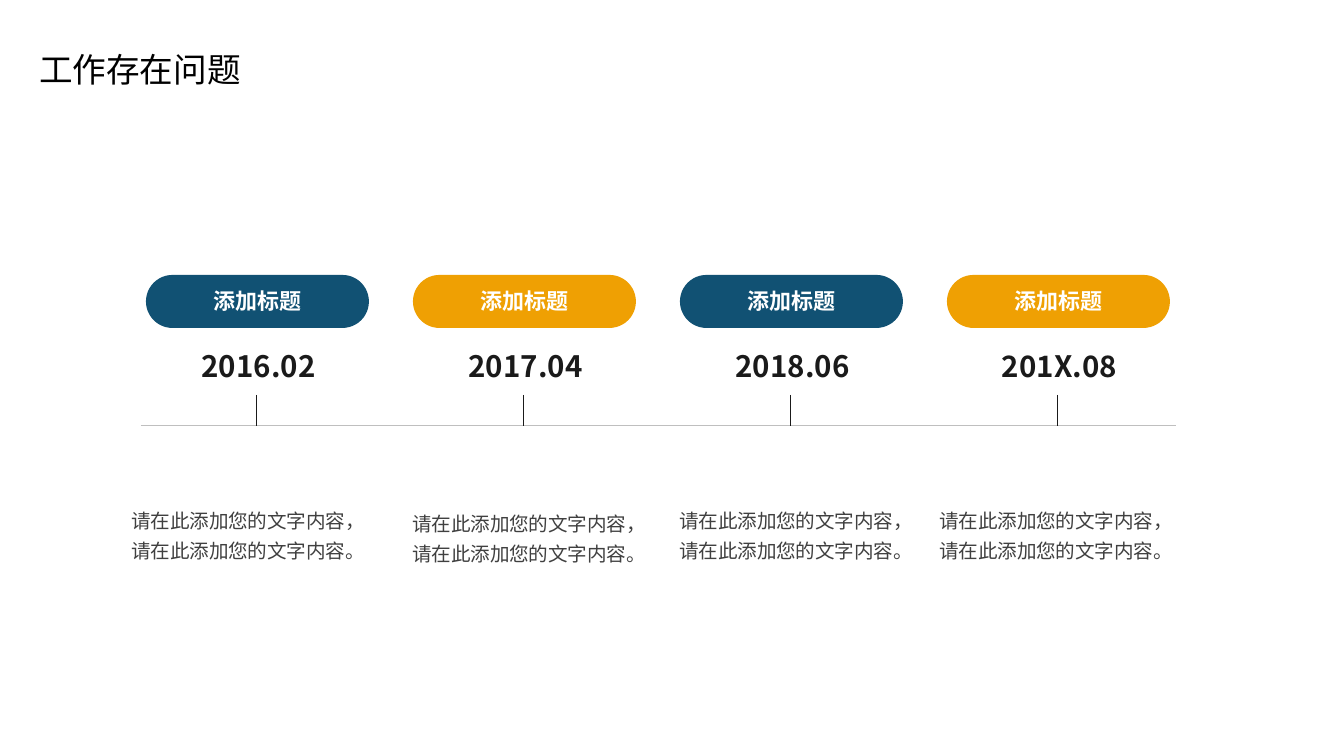
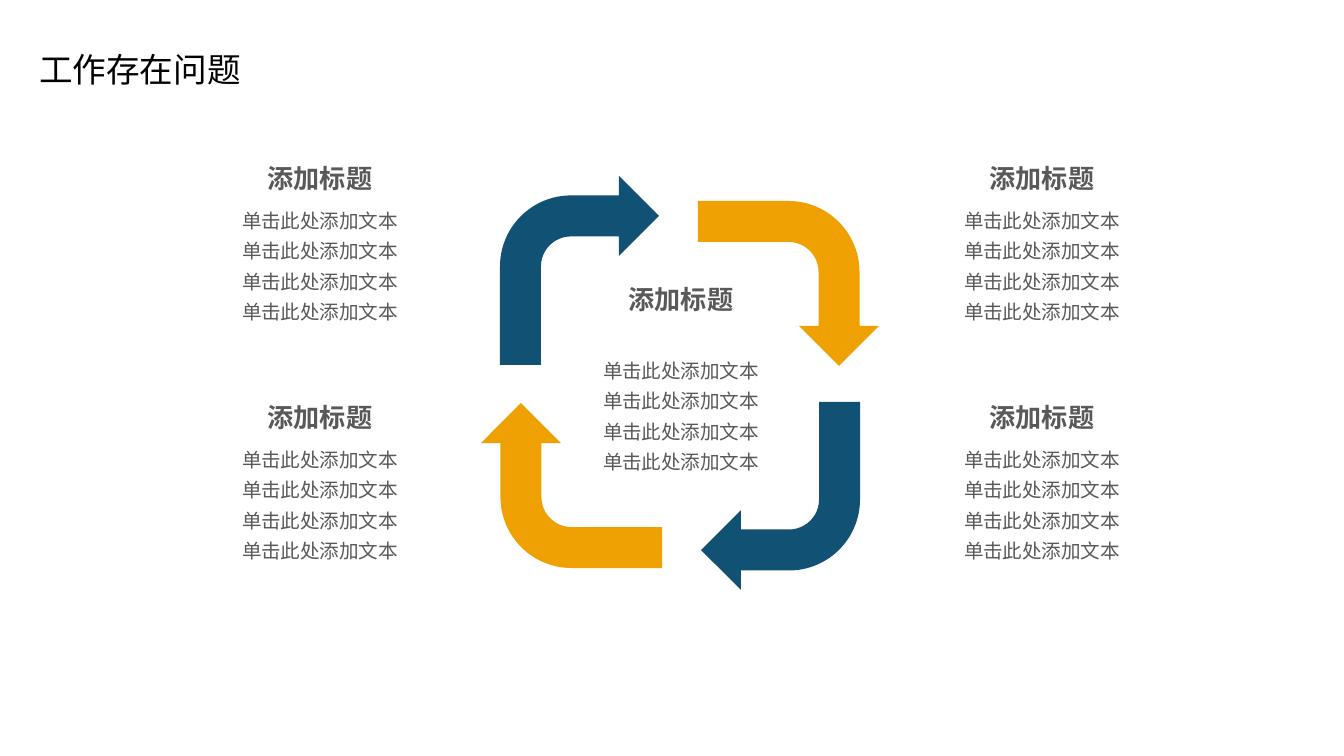
from lxml import etree
from pptx import Presentation, util as u
from pptx.dml.color import RGBColor
from pptx.enum import shapes, text
from pptx.oxml.ns import qn

FONT = "Noto Sans CJK SC"
BLUE = RGBColor(0x11, 0x51, 0x73)
ORANGE = RGBColor(0xEF, 0xA0, 0x03)
WHITE = RGBColor(0xFF, 0xFF, 0xFF)
BLACK = RGBColor(0x00, 0x00, 0x00)
INK = RGBColor(0x1A, 0x1A, 0x1A)
BODY = RGBColor(0x40, 0x40, 0x40)
GREY = RGBColor(0x59, 0x59, 0x59)
RULE = RGBColor(0xBF, 0xBF, 0xBF)
SCALE = 914400 / 134.4
HEADING = "添加标题"


def px(*lengths):
    return [u.Emu(round(length * SCALE)) for length in lengths]


def add_text(slide, box, lines, size, color, bold=False, spacing=None, align=text.PP_ALIGN.CENTER, wrap=True):
    frame = slide.shapes.add_textbox(*px(*box)).text_frame
    frame.word_wrap = wrap
    frame.auto_size = text.MSO_AUTO_SIZE.SHAPE_TO_FIT_TEXT
    frame.text = "\n".join(lines)
    for paragraph in frame.paragraphs:
        paragraph.alignment = align
        paragraph.line_spacing = spacing
        font = paragraph.font
        font.name, font.size, font.bold = FONT, u.Pt(size), bold
        font.color.rgb = color
        properties = paragraph._p.pPr.find(qn("a:defRPr"))
        etree.SubElement(properties, qn("a:ea"), typeface=FONT)


presentation = Presentation()
presentation.slide_width, presentation.slide_height = px(1344, 756)
slides = []
for _ in range(2):
    slide = presentation.slides.add_slide(presentation.slide_layouts[6])
    add_text(slide, (26, 42, 231, 54), ["工作存在问题"], 18, BLACK, align=text.PP_ALIGN.LEFT, wrap=False)
    slides.append(slide)
timeline, cycle = slides

STEP = 267
dates = ["2016.02", "2017.04", "2018.06", "201X.08"]
notes = [(118, 495), (399, 498), (666, 495), (926, 495)]
lines = [((141, 426, 1176, 426), RULE)]
for index, (date, note) in enumerate(zip(dates, notes)):
    left = 146 + index * STEP
    pill = timeline.shapes.add_shape(shapes.MSO_SHAPE.ROUNDED_RECTANGLE, *px(left, 275, 223, 53))
    pill.adjustments[0] = 0.5
    pill.shadow.inherit = False
    pill.fill.solid()
    pill.fill.fore_color.rgb = (BLUE, ORANGE)[index % 2]
    pill.line.fill.background()
    add_text(timeline, (left, 281, 223, 40), [HEADING], 11.8, WHITE, bold=True)
    add_text(timeline, (left + 25, 341, 175, 50), [date], 15.8, INK, bold=True)
    add_text(timeline, (*note, 250, 75), ["请在此添加您的文字内容，请在此添加您的文字内容。"],
             10.5, BODY, spacing=1.3, align=text.PP_ALIGN.LEFT)
    tick = left + 111
    lines.append(((tick, 395, tick, 426), INK))

for ends, color in lines:
    connector = timeline.shapes.add_connector(shapes.MSO_CONNECTOR.STRAIGHT, *px(*ends))
    connector.line.color.rgb = color
    connector.line.width = u.Pt(0.5)
    etree.SubElement(connector._element.spPr, qn("a:effectLst"))

arrows = [
    (500, 176, 159, 189, 0, BLUE),
    (706, 193, 165, 181, 90, ORANGE),
    (489, 395, 165, 181, 270, ORANGE),
    (701, 402, 159, 188, 180, BLUE),
]
for left, top, width, height, rotation, color in arrows:
    arrow = cycle.shapes.add_shape(shapes.MSO_SHAPE.BENT_ARROW, *px(left, top, width, height))
    for index, length in enumerate((41, 40, 40, 71)):
        arrow.adjustments[index] = length / width
    arrow.rotation = rotation
    arrow.shadow.inherit = False
    arrow.fill.solid()
    arrow.fill.fore_color.rgb = color
    arrow.line.fill.background()

blocks = [(562, 277, 68)] + [(left, top, 39) for left in (220, 942) for top in (156, 395)]
for left, top, heading_gap in blocks:
    center = left + 120 if left != 220 else left + 100
    left = center - 120 if left != 220 else 188
    center = left + 132
    if left == 942:
        left, center = 910, 1042
    if left == 562:
        left, center = 549, 681
    add_text(cycle, (center - 100, top, 200, 46), [HEADING], 14, GREY, bold=True)
    add_text(cycle, (left, top + heading_gap, 264, 137), ["单击此处添加文本"] * 4, 10.5, GREY, spacing=1.3)

presentation.save("out.pptx")
